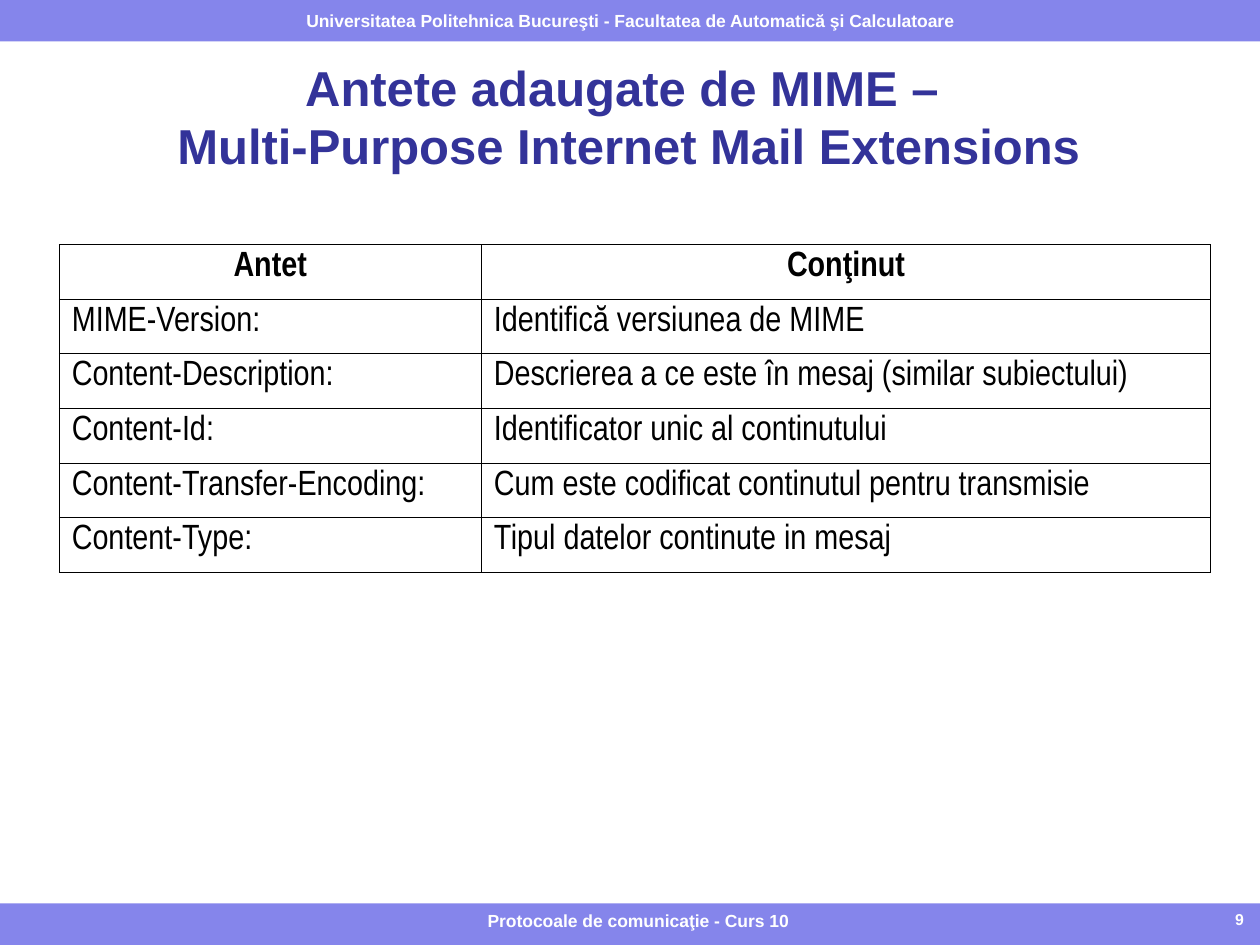
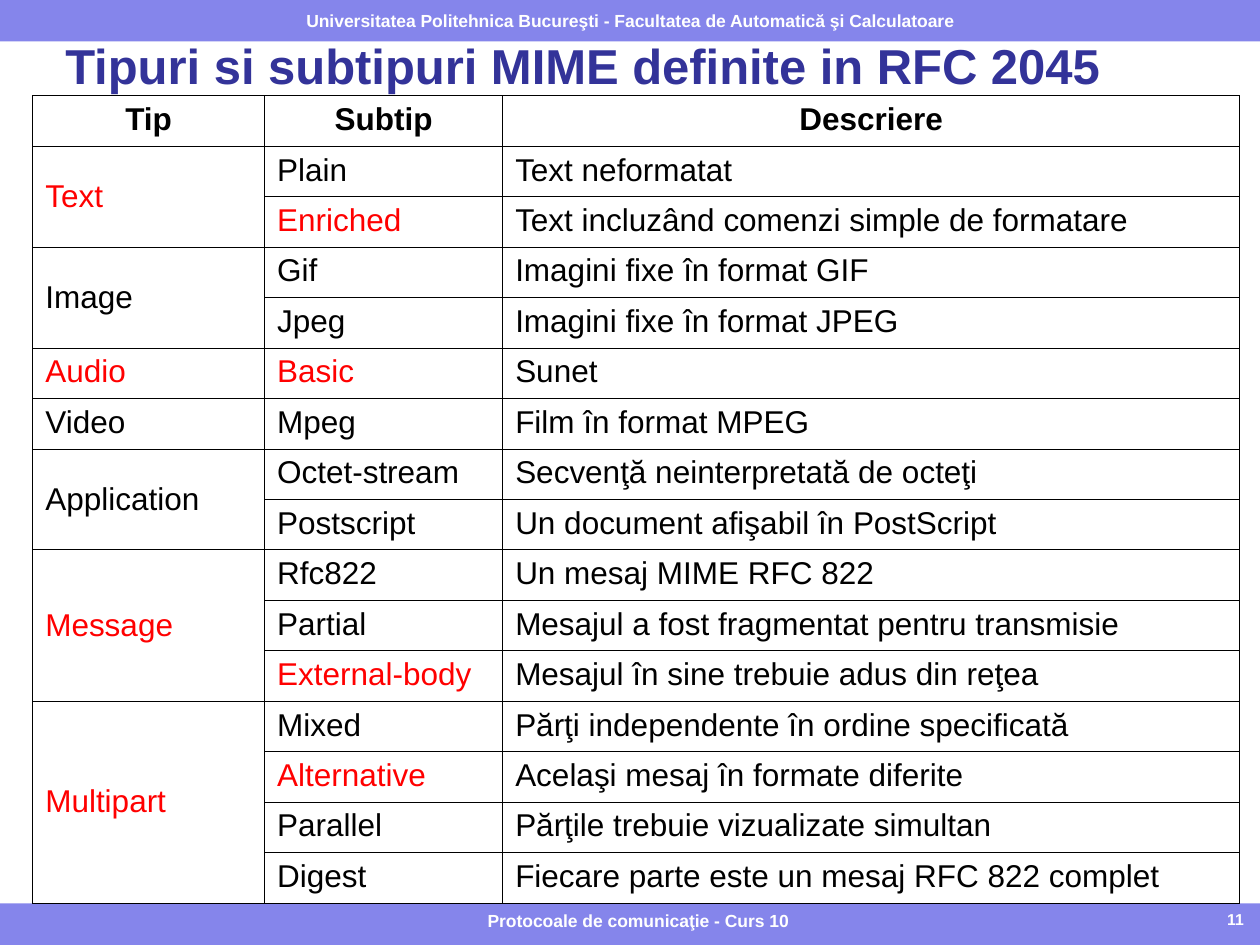
from dataclasses import dataclass

from lxml.etree import SubElement
from pptx import Presentation
from pptx.dml.color import RGBColor
from pptx.enum.shapes import MSO_SHAPE as Shape
from pptx.enum.text import MSO_ANCHOR as Anchor, PP_ALIGN as Align
from pptx.oxml.ns import qn
from pptx.util import Inches, Pt

# Content
UNIVERSITY = "Universitatea Politehnica Bucureşti - Facultatea de Automatică şi Calculatoare"
COURSE = "Protocoale de comunicaţie - Curs 10"

HEADERS_TITLE = "Antete adaugate de MIME – \nMulti-Purpose Internet Mail Extensions"
HEADERS_HEAD = ("Antet", "Conţinut")
HEADERS = [
    ("MIME-Version:", "Identifică versiunea de MIME"),
    ("Content-Description:", "Descrierea a ce este în mesaj (similar subiectului)"),
    ("Content-Id:", "Identificator unic al continutului"),
    ("Content-Transfer-Encoding:", "Cum este codificat continutul pentru transmisie"),
    ("Content-Type:", "Tipul datelor continute in mesaj"),
]

TYPES_TITLE = "Tipuri si subtipuri MIME definite in RFC 2045"
TYPES_HEAD = ("Tip", "Subtip", "Descriere")
TYPES = {
    "Text": [
        ("Plain", "Text neformatat"),
        ("Enriched", "Text incluzând comenzi simple de formatare"),
    ],
    "Image": [
        ("Gif", "Imagini fixe în format GIF"),
        ("Jpeg", "Imagini fixe în format JPEG"),
    ],
    "Audio": [("Basic", "Sunet")],
    "Video": [("Mpeg", "Film în format MPEG")],
    "Application": [
        ("Octet-stream", "Secvenţă neinterpretată de octeţi"),
        ("Postscript", "Un document afişabil în PostScript"),
    ],
    "Message": [
        ("Rfc822", "Un mesaj MIME RFC 822"),
        ("Partial", "Mesajul a fost fragmentat pentru transmisie"),
        ("External-body", "Mesajul în sine trebuie adus din reţea"),
    ],
    "Multipart": [
        ("Mixed", "Părţi independente în ordine specificată"),
        ("Alternative", "Acelaşi mesaj în formate diferite"),
        ("Parallel", "Părţile trebuie vizualizate simultan"),
        ("Digest", "Fiecare parte este un mesaj RFC 822 complet"),
    ],
}
HIGHLIGHTED = {"Text", "Enriched", "Audio", "Basic", "Message",
               "External-body", "Multipart", "Alternative"}


@dataclass(frozen=True)
class Theme:
    band: str = "8585EB"
    title: str = "333399"
    ink: str = "000000"
    accent: str = "FF0000"
    light: str = "FFFFFF"
    font: str = "Arial"
    narrow: str = "Arial Narrow"
    title_size: int = 28
    headers_size: int = 20
    types_size: int = 18
    band_size: int = 10
    number_size: int = 9
    border: float = 0.45


THEME = Theme()
WIDTH, HEIGHT, BAND = 10, 7.5, 0.33


def write(frame, text, size, color=THEME.ink, font=THEME.font, bold=False,
          align=Align.LEFT):
    """Fill a text frame with one paragraph; newlines become line breaks."""
    para = frame.paragraphs[0]
    para.alignment = align
    for index, line in enumerate(text.split("\n")):
        if index:
            para.add_line_break()
        span = para.add_run()
        span.text = line
        span.font.name = font
        span.font.size = Pt(size)
        span.font.bold = bold
        span.font.color.rgb = RGBColor.from_string(color)


def add_text(page, area, text, size, anchor=Anchor.TOP, **style):
    frame = page.shapes.add_textbox(*map(Inches, area)).text_frame
    frame.word_wrap = True
    frame.vertical_anchor = anchor
    write(frame, text, size, bold=True, **style)


def add_band(page, top):
    band = page.shapes.add_shape(
        Shape.RECTANGLE, 0, Inches(top), Inches(WIDTH), Inches(BAND))
    band.shadow.inherit = False
    band.fill.solid()
    band.fill.fore_color.rgb = RGBColor.from_string(THEME.band)
    band.line.fill.background()
    return band.text_frame


def add_page(deck, title, title_area, title_align):
    """Blank page with both bands and its title."""
    page = deck.slides.add_slide(deck.slide_layouts[6])
    add_band(page, HEIGHT - BAND)
    header = add_band(page, 0)
    header.word_wrap = False
    header.vertical_anchor = Anchor.MIDDLE
    write(header, UNIVERSITY, THEME.band_size, color=THEME.light, bold=True,
          align=Align.CENTER)
    add_text(page, title_area, title, THEME.title_size, anchor=Anchor.MIDDLE,
             color=THEME.title, align=title_align)
    return page


def add_footer(page, number):
    top = HEIGHT - BAND
    add_text(page, (7.67, top, 2.3, 0.3), str(number), THEME.number_size,
             color=THEME.light, align=Align.RIGHT)
    add_text(page, (2.58, top, 4.97, 0.3), COURSE, THEME.band_size,
             color=THEME.light, align=Align.CENTER)


def set_borders(cell):
    """Draw thin lines on all four sides, ahead of the cell fill."""
    props = cell._tc.get_or_add_tcPr()
    for side in ("a:lnL", "a:lnR", "a:lnT", "a:lnB"):
        line = SubElement(props, qn(side), w=str(Pt(THEME.border)))
        fill = SubElement(line, qn("a:solidFill"))
        SubElement(fill, qn("a:srgbClr"), val=THEME.ink)
    cell.fill.background()


def add_grid(page, left, top, columns, row_height, head, rows, **style):
    """Bordered table; a None in a row continues the cell above it."""
    lines = [head, *rows]
    table = page.shapes.add_table(
        len(lines), len(columns), Inches(left), Inches(top),
        Inches(sum(columns)), Inches(row_height * len(lines))).table
    table.first_row = table.horz_banding = False
    for column, width in zip(table.columns, columns):
        column.width = Inches(width)
    for r, line in enumerate(lines):
        table.rows[r].height = Inches(row_height)
        for c, text in enumerate(line):
            cell = table.cell(r, c)
            set_borders(cell)
            if text is None:
                continue
            write(cell.text_frame, text, bold=r == 0,
                  color=THEME.accent if text in HIGHLIGHTED else THEME.ink,
                  align=Align.JUSTIFY if r else Align.CENTER, **style)
    return table


def add_headers_page(deck):
    page = add_page(deck, HEADERS_TITLE, (0.42, 0.45, 9.14, 0.94), Align.CENTER)
    add_grid(page, 0.47, 1.94, (3.35, 5.79), 2.6 / 6, HEADERS_HEAD, HEADERS,
             size=THEME.headers_size, font=THEME.narrow)
    add_footer(page, 9)


def add_types_page(deck):
    page = add_page(deck, TYPES_TITLE, (0.42, 0.28, 9.14, 0.47), Align.LEFT)
    rows = [(None if i else kind, *entry)
            for kind, entries in TYPES.items() for i, entry in enumerate(entries)]
    table = add_grid(page, 0.26, 0.76, (1.84, 1.89, 5.85), 0.4, TYPES_HEAD, rows,
                     size=THEME.types_size)
    # Each type spans the rows of its subtypes
    first = 1
    for entries in TYPES.values():
        last = first + len(entries) - 1
        if last > first:
            cell = table.cell(first, 0)
            cell.merge(table.cell(last, 0))
            cell.vertical_anchor = Anchor.MIDDLE
            cell.text_frame.paragraphs[0].alignment = Align.LEFT
        first = last + 1
    add_footer(page, 11)


def main():
    deck = Presentation()
    deck.slide_width, deck.slide_height = Inches(WIDTH), Inches(HEIGHT)
    add_headers_page(deck)
    add_types_page(deck)
    deck.save("out.pptx")


if __name__ == "__main__":
    main()
